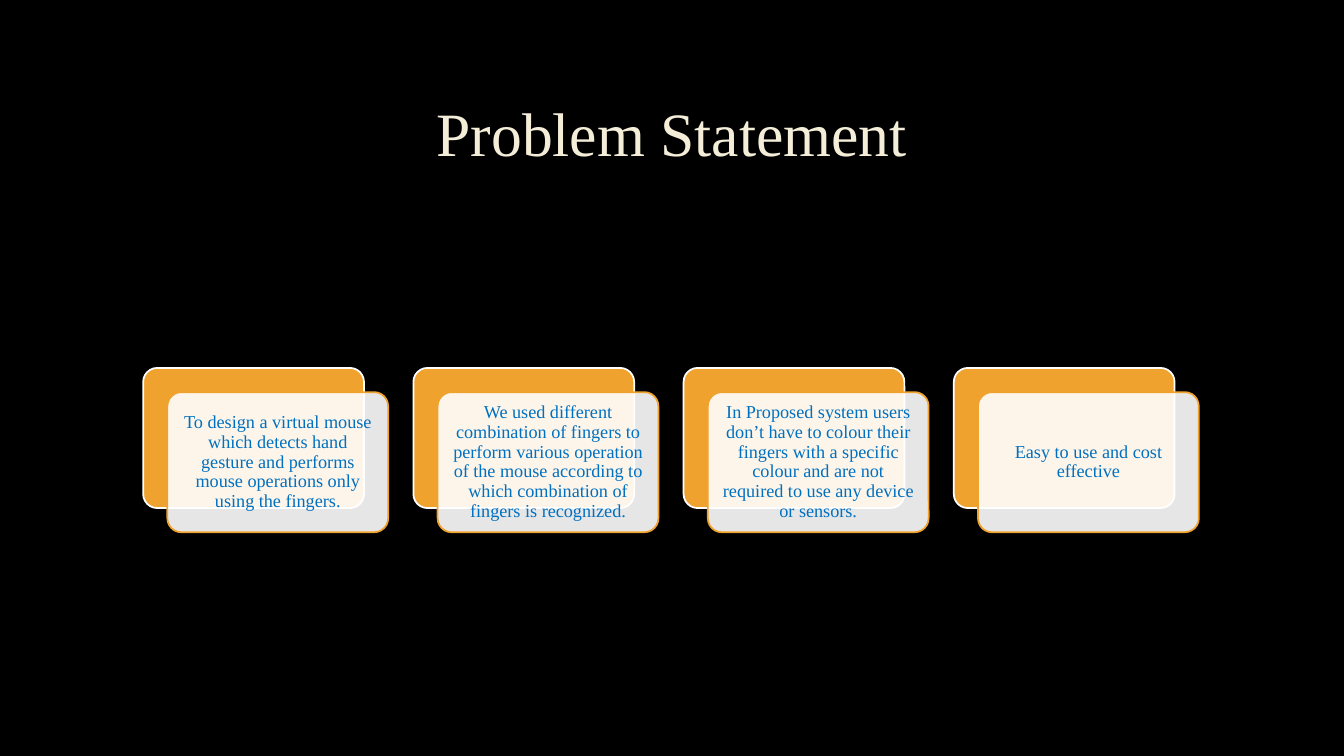
from pptx import Presentation
from pptx.dml.color import RGBColor as RGB
from pptx.enum.shapes import MSO_SHAPE
from pptx.enum.text import MSO_ANCHOR as Anchor, MSO_AUTO_SIZE as Auto, PP_ALIGN as Align
from pptx.oxml.ns import qn
from pptx.util import Inches, Pt
from lxml import etree

HUES = {"black": "000000", "cream": "F4EDD8", "gold": "F0A22E",
        "white": "FFFFFF", "blue": "0070C0"}
CARDS = [
    "To design a virtual mouse which detects hand gesture and performs mouse operations only using the fingers.",
    "We used different combination of fingers to perform various operation of the mouse according to which combination of fingers is recognized.",
    "In Proposed system users don’t have to colour their fingers with a specific colour and are not required to use any device or sensors.",
    "Easy to use and cost effective",
]
LEFT, TOP, WIDE, HIGH = 1.42, 3.65, 2.19, 1.39
STEP, SHIFT = 2.68, 0.24


def hue(name):
    return RGB.from_string(HUES[name])


def write(shape, text, size, color, look):
    frame = shape.text_frame
    frame.text = text
    for key, val in look.items():
        setattr(frame, key, val)
    para = frame.paragraphs[0]
    para.alignment = Align.CENTER
    para.line_spacing = 0.9
    font = para.runs[0].font
    font.name = "Times New Roman"
    font.size = Pt(size)
    font.color.rgb = hue(color)


deck = Presentation()
deck.slide_width, deck.slide_height = Inches(13.33), Inches(7.5)
slide = deck.slides.add_slide(deck.slide_layouts[5])
back = slide.background.fill
back.solid()
back.fore_color.rgb = hue("black")

title = slide.shapes.title
place = {"left": 1.42, "top": 0.45, "width": 10.49, "height": 1.28}
for key, val in place.items():
    setattr(title, key, Inches(val))
write(title, "Problem Statement", 44, "cream",
      {"vertical_anchor": Anchor.BOTTOM, "auto_size": Auto.NONE, "word_wrap": True})

inset = {f"margin_{side}": Inches(0.09) for side in ("left", "top", "right", "bottom")}
look = {"vertical_anchor": Anchor.MIDDLE, "word_wrap": True, **inset}

for col, text in enumerate(CARDS):
    for move, fill, line in [(0, "gold", "white"), (SHIFT, "white", "gold")]:
        card = slide.shapes.add_shape(
            MSO_SHAPE.ROUNDED_RECTANGLE,
            Inches(LEFT + col * STEP + move), Inches(TOP + move),
            Inches(WIDE), Inches(HIGH))
        card.adjustments[0] = 0.1
        card.shadow.inherit = False
        card.fill.solid()
        card.fill.fore_color.rgb = hue(fill)
        card.line.color.rgb = hue(line)
        card.line.width = Pt(1.25)
    tint = card._element.spPr.find(qn("a:solidFill")).find(qn("a:srgbClr"))
    etree.SubElement(tint, qn("a:alpha")).set("val", "90000")
    write(card, text, 13, "blue", look)

deck.save("out.pptx")
